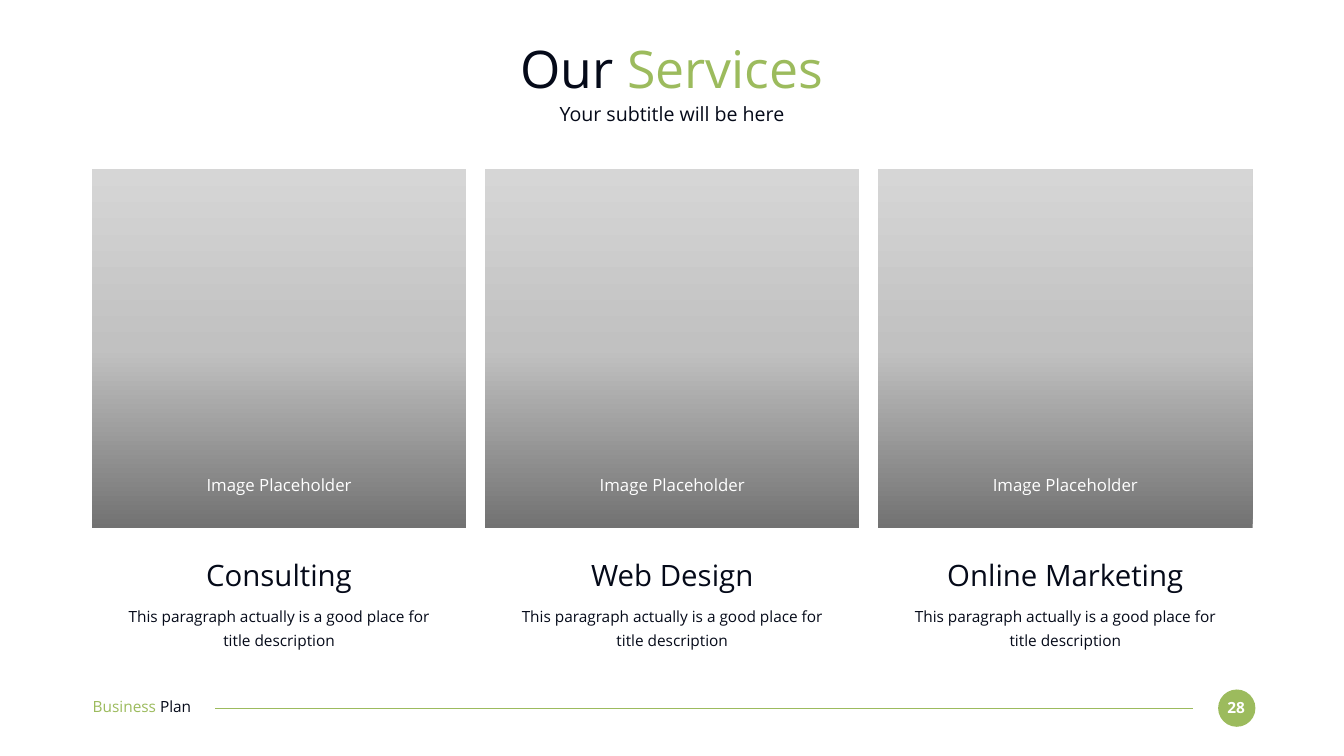
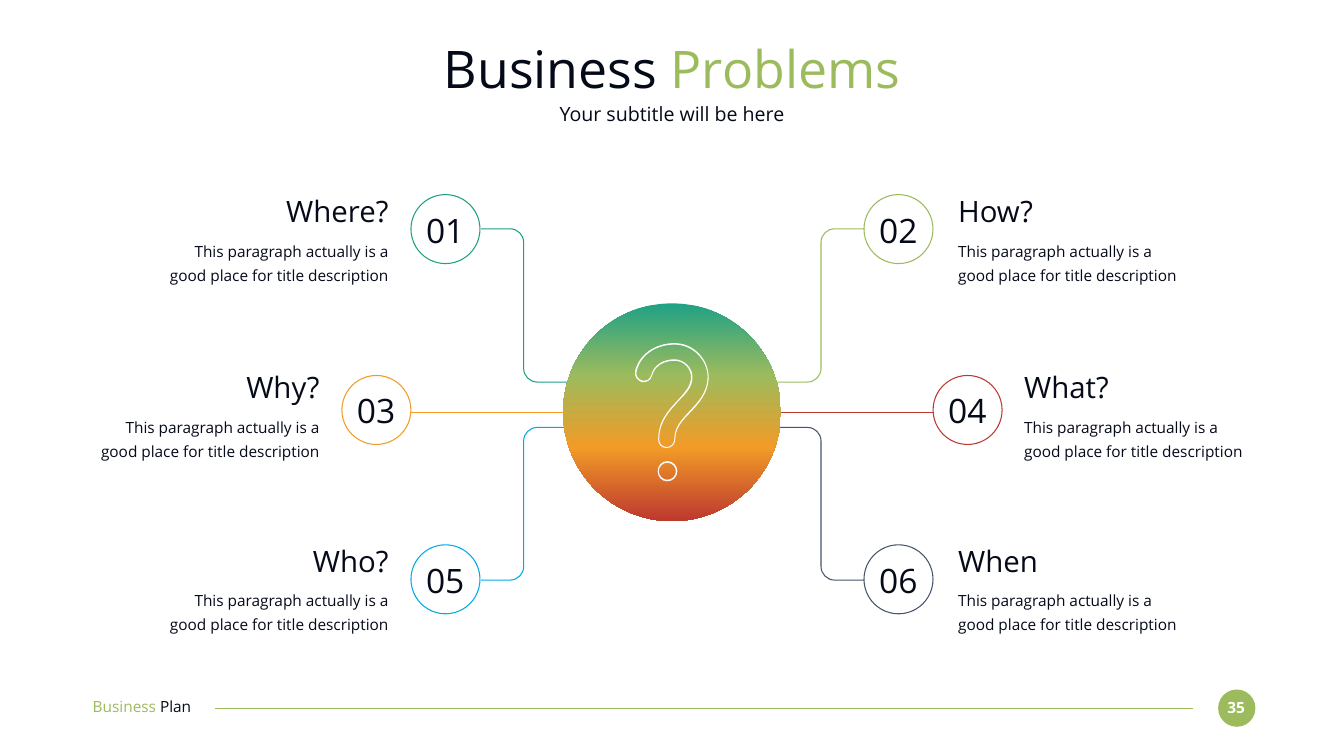
from lxml import etree
from pptx import Presentation, util as u
from pptx.dml.color import RGBColor
from pptx.enum import shapes, text
from pptx.oxml.ns import qn

# Content
SUBTITLE = "Your subtitle will be here"
DESCRIPTION = "This paragraph actually is a good place for title description"
SERVICES = ["Consulting", "Web Design", "Online Marketing"]

GREEN = RGBColor(0x9C, 0xBB, 0x5D)
INK = RGBColor(0x05, 0x0A, 0x19)
WHITE = RGBColor(0xFF, 0xFF, 0xFF)
TEAL = RGBColor(0x1F, 0xA1, 0x85)
ORANGE = RGBColor(0xF2, 0x9B, 0x27)
RED = RGBColor(0xBD, 0x38, 0x2F)
BLUE = RGBColor(0x00, 0xAA, 0xE6)
SLATE = RGBColor(0x46, 0x55, 0x69)
GREYS = [(0, RGBColor(0x72, 0x72, 0x72)), (50, RGBColor(0xC1, 0xC1, 0xC1)),
         (100, RGBColor(0xD6, 0xD6, 0xD6))]
DISC_STOPS = [(0, TEAL), (33, GREEN), (66, ORANGE), (100, RED)]

# Each row holds a left and a right question
PROBLEM_ROWS = [
    [("01", "Where?", TEAL), ("02", "How?", GREEN)],
    [("03", "Why?", ORANGE), ("04", "What?", RED)],
    [("05", "Who?", BLUE), ("06", "When", SLATE)],
]
# Distances from the centre line are named reach
ROW_PLACES = [
    dict(ring_top=278, ring_reach=323.6, number_drop=21.6, text_top=275.8,
         text_reach=(405, 408.7), text_width=329.8, link_y=326.9, joint=545.8),
    dict(ring_top=536.4, ring_reach=422.3, number_drop=20.2, text_top=527.1,
         text_reach=(503.5, 503), text_width=324.7, link_y=589, joint=589),
    dict(ring_top=778.3, ring_reach=323.6, number_drop=21.6, text_top=775.5,
         text_reach=(405, 408.7), text_width=329.8, link_y=828.7, joint=610.6),
]

# Question mark in units of 0.72 pt: a start, then curves as two handles and an end
MARK_LEFT, MARK_TOP, MARK_UNIT = 905.8, 488.9, 0.72
MARK = [
    ((85, 2), [
        (53, 0, 13, 16, 2, 57), (0, 67, 6, 76, 15, 79), (19, 80, 24, 79, 28, 77),
        (32, 74, 35, 71, 36, 66), (42, 44, 64, 36, 83, 37),
        (100, 38, 113, 53, 113, 69), (113, 86, 103, 97, 87, 115),
        (69, 134, 48, 156, 48, 192), (48, 194, 48, 194, 48, 194),
        (48, 203, 55, 210, 65, 210), (74, 210, 82, 202, 82, 192),
        (82, 170, 96, 155, 112, 139), (129, 121, 148, 100, 148, 69),
        (148, 35, 120, 4, 85, 2)]),
    ((110, 137), [
        (94, 154, 80, 169, 80, 192), (80, 201, 73, 208, 65, 208),
        (57, 208, 50, 202, 50, 194), (50, 192, 50, 192, 50, 192),
        (50, 157, 71, 136, 89, 116), (106, 99, 116, 87, 116, 69),
        (116, 51, 101, 36, 83, 34), (81, 34, 80, 34, 79, 34),
        (60, 34, 39, 44, 34, 66), (33, 69, 30, 73, 27, 75),
        (23, 76, 19, 77, 16, 76), (8, 74, 3, 66, 5, 58),
        (15, 18, 54, 3, 85, 5), (118, 7, 146, 36, 146, 69),
        (146, 99, 127, 119, 110, 137)]),
    ((66, 236), [
        (55, 236, 47, 245, 47, 256), (47, 267, 55, 276, 66, 276),
        (77, 276, 86, 267, 86, 256), (86, 245, 77, 236, 66, 236)]),
    ((66, 273), [
        (57, 273, 49, 265, 49, 256), (49, 247, 57, 239, 66, 239),
        (76, 239, 83, 247, 83, 256), (83, 265, 76, 273, 66, 273)]),
]

# Shared formats
WIDTH, HEIGHT, CENTRE = 1920, 1080, 960
FONT = "Open Sans"
LEFT, MIDDLE, RIGHT = text.PP_ALIGN.LEFT, text.PP_ALIGN.CENTER, text.PP_ALIGN.RIGHT
FRAME = dict(margin_left=0, margin_right=0, margin_top=0, margin_bottom=0,
             word_wrap=True, auto_size=text.MSO_AUTO_SIZE.NONE,
             vertical_anchor=text.MSO_ANCHOR.MIDDLE)
PARA = dict(space_before=u.Pt(0), space_after=u.Pt(0))
OVAL = shapes.MSO_SHAPE.OVAL
RING, RADIUS = 98.6, 19.4
LINK_AXIS, DISC, DISC_REACH, SPINE_REACH, ELBOW_REACH = 960.5, 311, 140.5, 212.4, 273.5


def apply(target, values):
    for name, value in values.items():
        setattr(target, name, value)


def area(left, top, width, height):
    return [u.Pt(round(value, 2)) for value in (left, top, width, height)]


def write(box, spans, size, align=MIDDLE, spacing=1.0, bold=False):
    apply(box.text_frame, FRAME)
    para = box.text_frame.paragraphs[0]
    apply(para, dict(PARA, alignment=align, line_spacing=spacing))
    for words, colour in spans:
        span = para.add_run()
        span.text = words
        apply(span.font, dict(name=FONT, size=u.Pt(size), bold=bold))
        span.font.color.rgb = colour


def label(page, place, spans, size, **formats):
    write(page.shapes.add_textbox(*area(*place)), spans, size, **formats)


def describe(page, left, top, width, heading, gap, align):
    label(page, (left, top, width, 51.1), [(heading, INK)], 42, align=align)
    label(page, (left, top + gap, width, 68), [(DESCRIPTION, INK)], 22,
          align=align, spacing=1.3)


def stroke(shape, colour):
    shape.line.color.rgb = colour
    shape.line.width = u.Pt(1.5)


def paint(shape, colour):
    shape.fill.solid()
    shape.fill.fore_color.rgb = colour


def clear(shape):
    shape.shadow.inherit = False
    shape.fill.background()
    shape.line.fill.background()
    return shape


def add_shape(page, kind, place):
    return clear(page.shapes.add_shape(kind, *area(*place)))


def add_line(page, start, end, y, colour):
    line = page.shapes.add_connector(shapes.MSO_CONNECTOR.STRAIGHT,
                                     u.Pt(start), u.Pt(y), u.Pt(end), u.Pt(y))
    stroke(line, colour)
    etree.SubElement(line._element.spPr, qn("a:effectLst"))


def shade(shape, stops, angle):
    shape.fill.gradient()
    shape.fill.gradient_angle = angle
    stop_list = shape._element.spPr.find(qn("a:gradFill")).find(qn("a:gsLst"))
    for old in list(stop_list):
        stop_list.remove(old)
    for position, colour in stops:
        stop = etree.SubElement(stop_list, qn("a:gs"), pos=str(position * 1000))
        etree.SubElement(stop, qn("a:srgbClr"), val=str(colour))


def add_curves(page, contours, close):
    """Freeform whose segments are cubic curves; contours are in points."""
    fine = [((x * 100, y * 100), [[v * 100 for v in curve] for curve in curves])
            for (x, y), curves in contours]
    builder = page.shapes.build_freeform(*fine[0][0], scale=u.Pt(1) / 100)
    for index, (start, curves) in enumerate(fine):
        if index:
            builder.move_to(*start)
        builder.add_line_segments([curve[4:] for curve in curves], close=close)
    shape = clear(builder.convert_to_shape())
    # Turn each straight segment into its curve
    anchors = [point for start, curves in fine
               for point in [start] + [curve[4:] for curve in curves]]
    origin = [min(point[axis] for point in anchors) for axis in (0, 1)]
    segments = list(shape._element.spPr.iter(qn("a:lnTo")))
    for segment, curve in zip(segments, [c for _, curves in fine for c in curves]):
        bend = etree.Element(qn("a:cubicBezTo"))
        for x, y in zip(curve[::2], curve[1::2]):
            etree.SubElement(bend, qn("a:pt"), x=str(round(x - origin[0])),
                             y=str(round(y - origin[1])))
        segment.getparent().replace(segment, bend)
    return shape


def draw_elbow(page, side, ring_y, joint, colour):
    """Rounded line from a ring to the disc; side is -1 left, 1 right."""
    spine = LINK_AXIS + side * SPINE_REACH
    out, down = side * RADIUS, RADIUS if joint > ring_y else -RADIUS
    easy_out, easy_down = out * 0.45, down * 0.45
    end = (LINK_AXIS + side * DISC_REACH, joint)
    curves = [
        (spine + out, ring_y) * 3,
        (spine + easy_out, ring_y, spine, ring_y + easy_down, spine, ring_y + down),
        (spine, joint - down) * 3,
        (spine, joint - easy_down, spine - easy_out, joint, spine - out, joint),
        end * 3,
    ]
    start = (LINK_AXIS + side * ELBOW_REACH, ring_y)
    stroke(add_curves(page, [(start, curves)], close=False), colour)


def draw_question_mark(page):
    def place(values):
        return [corner + value * MARK_UNIT for corner, value
                in zip((MARK_LEFT, MARK_TOP) * 3, values)]

    contours = [(place(start), [place(curve) for curve in curves])
                for start, curves in MARK]
    paint(add_curves(page, contours, close=True), WHITE)


def add_page(deck, lead, accent, number):
    page = deck.slides.add_slide(deck.slide_layouts[1])
    # Footer
    badge = add_shape(page, OVAL, (1740.2, 985, 53.3, 53.3))
    paint(badge, GREEN)
    label(page, (1744.6, 997.2, 42.5, 26.6), [(number, WHITE)], 22, bold=True)
    add_line(page, 1704.2, 307.4, 1011.6, GREEN)
    label(page, (132.5, 995.5, 186.5, 26.6),
          [("Business ", GREEN), ("Plan", INK)], 22, align=LEFT)
    # Title and subtitle
    title, body = page.shapes.title, page.placeholders[1]
    for holder, top, height in ((title, 51.5, 91.4), (body, 145.2, 35.3)):
        apply(holder, dict(zip(("left", "top", "width", "height"),
                               area(132, top, 1656, height))))
    write(title, [(lead + " ", INK), (accent, GREEN)], 74)
    props = body.text_frame.paragraphs[0]._p.get_or_add_pPr()
    props.set("marL", "0")
    props.set("indent", "0")
    etree.SubElement(props, qn("a:buNone"))
    write(body, [(SUBTITLE, INK)], 28)
    return page


def build_services(deck):
    page = add_page(deck, "Our", "Services", "28")
    lefts = [131.2 + column * 561.6 for column in range(len(SERVICES))]
    for left, service in zip(lefts, SERVICES):
        describe(page, left + 45, 795.6, 445, service, 64.4, MIDDLE)
    for left in lefts:
        card = add_shape(page, shapes.MSO_SHAPE.RECTANGLE, (left, 242, 535, 512.6))
        shade(card, GREYS, 90)
        label(page, (left + 91, 678.2, 353, 28.8), [("Image Placeholder", WHITE)], 24)


def build_problems(deck):
    page = add_page(deck, "Business", "Problems", "35")
    for row, place in zip(PROBLEM_ROWS, ROW_PLACES):
        sides = zip((-1, 1), (RIGHT, LEFT), place["text_reach"], row)
        for side, align, reach, (number, heading, colour) in sides:
            middle = CENTRE + side * place["ring_reach"]
            # Link to the disc
            if place["link_y"] == place["joint"]:
                add_line(page, LINK_AXIS + side * DISC_REACH, middle - side * RING / 2,
                         place["joint"], colour)
            else:
                draw_elbow(page, side, place["link_y"], place["joint"], colour)
            # Numbered ring
            stroke(add_shape(page, OVAL, (middle - RING / 2, place["ring_top"],
                                          RING, RING)), colour)
            label(page, (middle - 39.6, place["ring_top"] + place["number_drop"],
                         78.5, 58.3), [(number, INK)], 48)
            # Question
            width = place["text_width"]
            left = CENTRE + side * reach - (width if side < 0 else 0)
            describe(page, left, place["text_top"], width, heading, 62, align)
    # Central disc
    disc = add_shape(page, OVAL, (CENTRE - DISC / 2, 433.4, DISC, DISC))
    shade(disc, DISC_STOPS, 270)
    draw_question_mark(page)


def main():
    deck = Presentation()
    deck.slide_width, deck.slide_height = u.Pt(WIDTH), u.Pt(HEIGHT)
    build_services(deck)
    build_problems(deck)
    deck.save("out.pptx")


if __name__ == "__main__":
    main()
